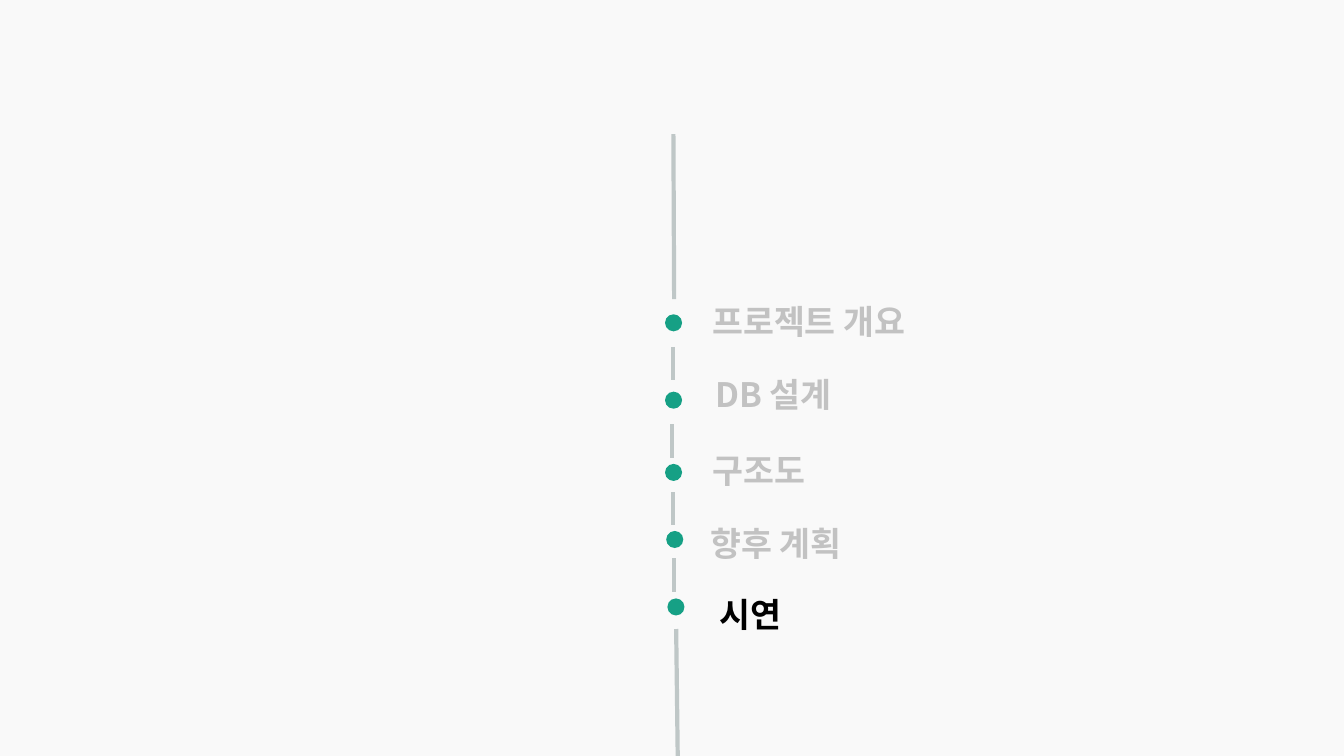
from lxml import etree
from pptx import Presentation
from pptx.dml.color import RGBColor
from pptx.enum.shapes import MSO_CONNECTOR, MSO_SHAPE
from pptx.enum.text import MSO_AUTO_SIZE
from pptx.oxml.ns import qn
from pptx.util import Cm, Pt

COLORS = {"background": "F9F9F9", "dot": "16A085", "line": "BFC7C7",
          "muted": "C2C2C2", "current": "000000"}
FONT = "Noto Sans CJK KR"
DOT_SIZE = 0.43

prs = Presentation()
prs.slide_width, prs.slide_height = Cm(33.87), Cm(19.05)
slide = prs.slides.add_slide(prs.slide_layouts[6])
slide.background.fill.solid()
slide.background.fill.fore_color.rgb = RGBColor.from_string(COLORS["background"])

# Timeline segments: start x, start y, end x, end y
segments = [
    (16.97, 3.38, 16.99, 7.54),
    (16.97, 8.74, 16.97, 9.58),
    (16.93, 10.69, 16.93, 11.53),
    (16.96, 12.4, 16.96, 13.23),
    (16.99, 14.07, 16.99, 14.91),
    (17.04, 15.85, 17.08, 19.05),
]
for segment in segments:
    track = slide.shapes.add_connector(MSO_CONNECTOR.STRAIGHT, *map(Cm, segment))
    track.line.color.rgb = RGBColor.from_string(COLORS["line"])
    track.line.width = Pt(3)
    etree.SubElement(track._element.spPr, qn("a:effectLst"))

# Agenda: label, its left, top and width, then dot left and top, colour
agenda = [
    ("프로젝트 개요", 17.7, 7.47, 10.03, 16.76, 7.92, "muted"),
    ("DB 설계", 17.78, 9.3, 10.77, 16.76, 9.87, "muted"),
    ("구조도", 17.7, 11.2, 10.03, 16.76, 11.69, "muted"),
    ("향후 계획", 17.65, 13.06, 10.03, 16.79, 13.38, "muted"),
    ("시연", 17.88, 14.83, 10.77, 16.82, 15.08, "current"),
]
for label, left, top, width, dot_left, dot_top, color in agenda:
    dot = slide.shapes.add_shape(MSO_SHAPE.OVAL, Cm(dot_left), Cm(dot_top),
                                 Cm(DOT_SIZE), Cm(DOT_SIZE))
    dot.shadow.inherit = False
    dot.fill.solid()
    dot.fill.fore_color.rgb = RGBColor.from_string(COLORS["dot"])
    dot.line.fill.background()

    topic = slide.shapes.add_textbox(Cm(left), Cm(top), Cm(width), Cm(1.27))
    topic.text_frame.word_wrap = True
    topic.text_frame.auto_size = MSO_AUTO_SIZE.SHAPE_TO_FIT_TEXT
    topic.text_frame.text = label
    run = topic.text_frame.paragraphs[0].runs[0]
    run.font.size = Pt(24)
    run.font.bold = True
    run.font.color.rgb = RGBColor.from_string(COLORS[color])
    run.font.name = FONT
    # Hangul takes its typeface from the East Asian font
    etree.SubElement(run.font._element, qn("a:ea"), typeface=FONT)

prs.save("out.pptx")
